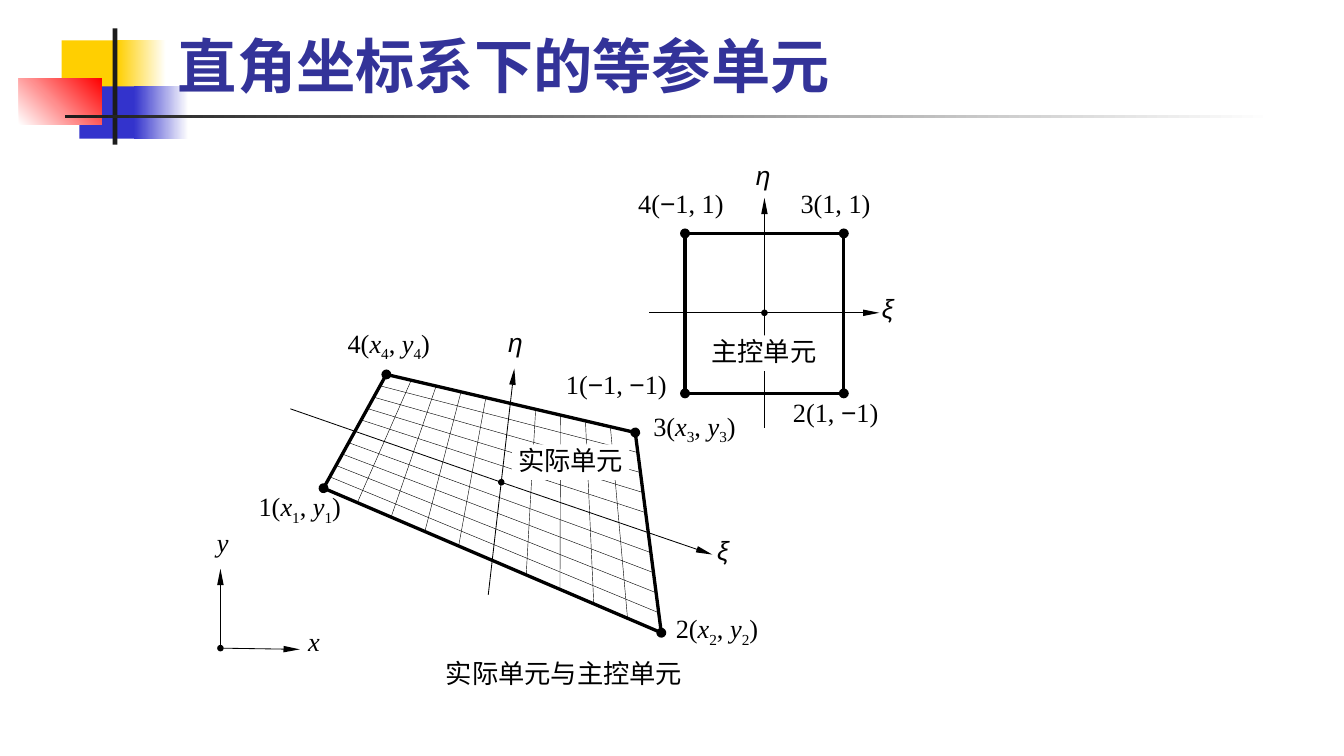
import pptx
import pptx.util
import pptx.dml.color
import pptx.enum.shapes
import pptx.enum.text
import pptx.oxml.xmlchemy

Inches = pptx.util.Inches
Pt = pptx.util.Pt
COLORS = {"yellow": "FFCF01", "blue": "3333CC", "red": "FF0000", "dark": "1C1C1C",
          "white": "FFFFFF", "title": "333399", "ink": "000000"}
SERIF, SANS = "Times New Roman", "Arial"
MARKS = {"node": ("oval", "med", "med"), "origin": ("oval", "sm", "sm"),
         "arrow": ("triangle", "sm", "lg")}


def rgb(name):
    return pptx.dml.color.RGBColor.from_string(COLORS[name])


def add_block(slide, box, start, end=None, angle=0):
    block = slide.shapes.add_shape(pptx.enum.shapes.MSO_SHAPE.RECTANGLE,
                                   *[Inches(v) for v in box])
    block.shadow.inherit = False
    block.line.fill.background()
    if end is None:
        block.fill.solid()
        block.fill.fore_color.rgb = rgb(start)
    else:
        block.fill.gradient()
        block.fill.gradient_angle = angle
        for stop, name, position in zip(block.fill.gradient_stops, (start, end), (0, 1)):
            stop.color.rgb = rgb(name)
            stop.position = position
    return block


def add_line(slide, start, end, width, head=None, tail=None):
    line = slide.shapes.add_connector(pptx.enum.shapes.MSO_CONNECTOR.STRAIGHT,
                                      *[Inches(v) for v in (*start, *end)])
    line.line.color.rgb = rgb("ink")
    line.line.width = Pt(width)
    outline = line.line._get_or_add_ln()
    for tag, mark in (("a:headEnd", head), ("a:tailEnd", tail)):
        if mark:
            end_mark = pptx.oxml.xmlchemy.OxmlElement(tag)
            for key, value in zip(("type", "w", "len"), MARKS[mark]):
                end_mark.set(key, value)
            outline.append(end_mark)
    line._element.spPr.append(pptx.oxml.xmlchemy.OxmlElement("a:effectLst"))


def write_runs(shape, runs):
    frame = shape.text_frame
    frame.word_wrap = True
    frame.margin_left = frame.margin_right = frame.margin_top = frame.margin_bottom = 0
    frame.vertical_anchor = pptx.enum.text.MSO_ANCHOR.TOP
    paragraph = frame.paragraphs[0]
    paragraph.alignment = pptx.enum.text.PP_ALIGN.CENTER
    for text, style in runs:
        run = paragraph.add_run()
        run.text = text
        run.font.size = Pt(16)
        run.font.name = SANS if "sans" in style else SERIF
        run.font.italic = "italic" in style
        run.font.color.rgb = rgb("ink")
        if "sub" in style:
            run._r.get_or_add_rPr().set("baseline", "-25000")


def add_label(slide, left, top, width, runs):
    label = slide.shapes.add_textbox(Inches(left), Inches(top), Inches(width), Inches(0.3))
    write_runs(label, runs)


def add_plate(slide, left, top, text):
    write_runs(add_block(slide, (left, top, 0.99, 0.3), "white"), [(text, "")])


def node_runs(number):
    return [(f"{number}(", ""), ("x", "italic"), (number, "sub"), (", ", ""),
            ("y", "italic"), (number, "sub"), (")", "")]


def minus_runs(text):
    first, *rest = text.split("−")
    runs = [(first, "")]
    for part in rest:
        runs += [("−", "sans"), (part, "")]
    return runs


def along(start, end, share):
    return [a + (b - a) * share for a, b in zip(start, end)]


def add_outline(slide, corners):
    for start, end in zip(corners, corners[1:] + corners[:1]):
        add_line(slide, start, end, 2, head="node")


def add_mesh(slide, corners):
    p1, p2, p3, p4 = corners
    for step in (1, 2, 3, 4, 6, 7, 8, 9):
        share = step / 10
        add_line(slide, along(p1, p2, share), along(p4, p3, share), 0.25)
        add_line(slide, along(p2, p3, share), along(p1, p4, share), 0.25)


def add_decoration(slide):
    add_block(slide, (0.52, 0.34, 0.54, 0.44), "yellow")
    add_block(slide, (0.99, 0.34, 0.41, 0.44), "yellow", "white")
    add_block(slide, (0.67, 0.73, 0.52, 0.44), "blue")
    add_block(slide, (1.13, 0.73, 0.46, 0.44), "blue", "white")
    add_block(slide, (0.16, 0.66, 0.7, 0.39), "white", "red", 45)
    add_block(slide, (0.95, 0.24, 0.04, 0.98), "dark")
    add_block(slide, (0.55, 0.97, 10.2, 0.03), "dark", "white")


def add_title(slide, text):
    title = slide.shapes.title
    title.left, title.top, title.width, title.height = [
        Inches(v) for v in (1.41, 0.2, 9.67, 0.69)]
    frame = title.text_frame
    frame.auto_size = pptx.enum.text.MSO_AUTO_SIZE.NONE
    frame.vertical_anchor = pptx.enum.text.MSO_ANCHOR.BOTTOM
    frame.margin_left = frame.margin_right = Inches(0.09)
    frame.margin_top = frame.margin_bottom = Inches(0.04)
    paragraph = frame.paragraphs[0]
    paragraph.alignment = pptx.enum.text.PP_ALIGN.LEFT
    run = paragraph.add_run()
    run.text = text
    run.font.name = SERIF
    run.font.size = Pt(36)
    run.font.bold = True
    run.font.color.rgb = rgb("title")
    slide.shapes._spTree.append(title._element)


def add_actual_element(slide):
    corners = [(2.73, 4.12), (5.58, 5.34), (5.36, 3.65), (3.26, 3.16)]
    center = (4.23, 4.07)
    add_outline(slide, corners)
    add_mesh(slide, corners)
    add_line(slide, (4.12, 5.02), (4.34, 3.11), 0.5, tail="arrow")
    add_line(slide, center, (2.45, 3.45), 0.5)
    add_line(slide, center, (6.01, 4.68), 0.5, head="origin", tail="arrow")
    for number, left, top, width in (("1", 2.05, 4.14, 0.96), ("2", 5.63, 5.17, 0.84),
                                     ("3", 5.44, 3.46, 0.84), ("4", 2.82, 2.76, 0.92)):
        add_label(slide, left, top, width, node_runs(number))
    add_plate(slide, 4.32, 3.75, "实际单元")


def add_master_element(slide):
    left, right, top, bottom = 5.78, 7.12, 1.97, 3.32
    center = (6.45, 2.64)
    add_outline(slide, [(left, bottom), (right, bottom), (right, top), (left, top)])
    add_line(slide, (6.45, 3.61), (6.45, 1.67), 0.5, tail="arrow")
    add_line(slide, center, (5.48, 2.64), 0.5)
    add_line(slide, center, (7.42, 2.64), 0.5, head="origin", tail="arrow")
    for text, x, y, width in (("1(−1, −1)", 4.74, 3.11, 0.92), ("2(1, −1)", 6.59, 3.34, 0.92),
                              ("3(1, 1)", 6.67, 1.58, 0.76), ("4(−1, 1)", 5.29, 1.58, 0.91)):
        add_label(slide, x, y, width, minus_runs(text))
    add_plate(slide, 5.95, 2.83, "主控单元")


def add_global_axes(slide):
    origin = (1.86, 5.47)
    add_line(slide, origin, (1.86, 4.8), 0.5, tail="arrow")
    add_line(slide, origin, (2.53, 5.48), 0.5, head="origin", tail="arrow")


def main():
    deck = pptx.Presentation()
    deck.slide_width, deck.slide_height = Inches(11.34), Inches(6.38)
    slide = deck.slides.add_slide(deck.slide_layouts[5])
    add_decoration(slide)
    add_title(slide, "直角坐标系下的等参单元")
    add_actual_element(slide)
    add_master_element(slide)
    add_global_axes(slide)
    for symbol, left, top, style in (("x", 2.5, 5.28, "italic"), ("y", 1.73, 4.44, "italic"),
                                     ("ξ", 7.34, 2.47, "italic sans"),
                                     ("η", 4.2, 2.75, "italic sans"),
                                     ("η", 6.29, 1.34, "italic sans"),
                                     ("ξ", 5.95, 4.51, "italic sans")):
        add_label(slide, left, top, 0.3, [(symbol, style)])
    add_label(slide, 2.55, 5.55, 4.42, [("实际单元与主控单元", "")])
    deck.save("out.pptx")


if __name__ == "__main__":
    main()
